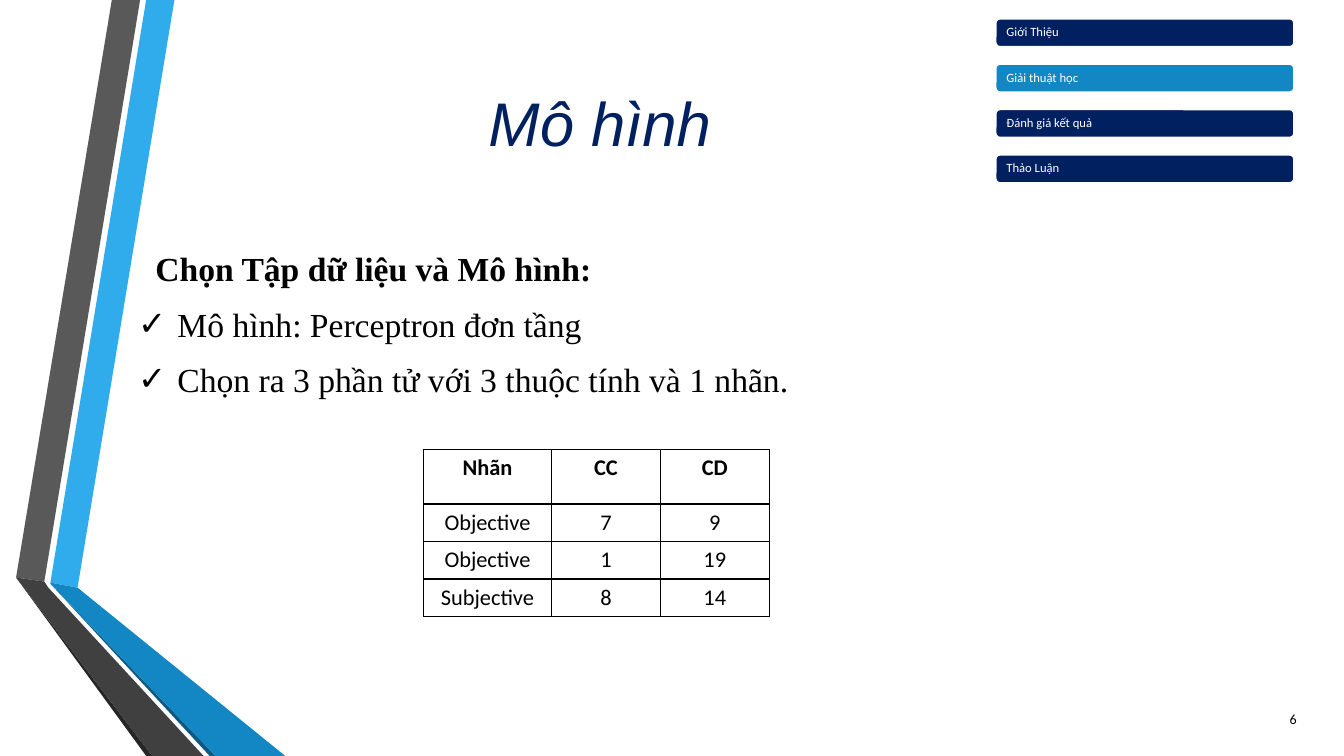
from lxml import etree
from pptx import Presentation
from pptx.dml.color import RGBColor
from pptx.enum.shapes import MSO_SHAPE
from pptx.enum.text import MSO_ANCHOR, MSO_AUTO_SIZE, PP_ALIGN
from pptx.oxml.ns import qn
from pptx.util import Pt

PX = 9144  # EMU per px, 100 px to the inch
ROUNDED = MSO_SHAPE.ROUNDED_RECTANGLE
MIDDLE, TOP = MSO_ANCHOR.MIDDLE, MSO_ANCHOR.TOP
LEFT, CENTER, RIGHT = PP_ALIGN.LEFT, PP_ALIGN.CENTER, PP_ALIGN.RIGHT
NO_FIT = MSO_AUTO_SIZE.NONE

WHITE = RGBColor(0xFF, 0xFF, 0xFF)
BLACK = RGBColor(0x00, 0x00, 0x00)
NAVY = RGBColor(0x00, 0x20, 0x60)
BLUE = RGBColor(0x12, 0x87, 0xC3)
LIGHT_BLUE = RGBColor(0x30, 0xAC, 0xEC)
DEEP_BLUE = RGBColor(0x0C, 0x5A, 0x82)
GRAY = RGBColor(0x59, 0x59, 0x59)
DARK_GRAY = RGBColor(0x40, 0x40, 0x40)
CHARCOAL = RGBColor(0x26, 0x26, 0x26)

RIBBONS = [
    (LIGHT_BLUE, [(50, 578), (77, 583), (173, 0), (145, 0)]),
    (GRAY, [(139, 0), (111, 0), (16, 573), (44, 577)]),
    (CHARCOAL, [(16, 573), (145, 750), (151, 750)]),
    (DEEP_BLUE, [(50, 579), (208, 750), (214, 750)]),
    (BLUE, [(50, 578), (50, 579), (214, 750), (283, 750), (77, 583)]),
    (DARK_GRAY, [(202, 750), (48, 583), (44, 577), (16, 573), (151, 750)]),
]
SECTIONS = ["Giới Thiệu", "Giải thuật học", "Đánh giá kết quả", "Thảo Luận"]
CURRENT_SECTION = "Giải thuật học"
HEADING = "Chọn Tập dữ liệu và Mô hình:"
POINTS = ["Mô hình: Perceptron đơn tầng", "Chọn ra 3 phần tử với 3 thuộc tính và 1 nhãn."]
SAMPLES = [
    ("Nhãn", "CC", "CD"),
    ("Objective", "7", "9"),
    ("Objective", "1", "19"),
    ("Subjective", "8", "14"),
]
COLUMN_WIDTHS = [127, 108, 108]
HEADER_HEIGHT, ROW_HEIGHT = 54, 37


def place(shape, left, top, width, height):
    shape.left, shape.top = left * PX, top * PX
    shape.width, shape.height = width * PX, height * PX


def style(paragraph, name, size, color, alignment, bold=False, italic=False):
    paragraph.alignment = alignment
    font = paragraph.font
    font.name, font.size, font.bold, font.italic = name, Pt(size), bold, italic
    font.color.rgb = color


def set_margins(holder, left, top, right, bottom):
    """Set the inner margins of a text frame or a table cell."""
    holder.margin_left, holder.margin_top = left * PX, top * PX
    holder.margin_right, holder.margin_bottom = right * PX, bottom * PX


def set_indent(paragraph, margin, indent, bullet=None):
    properties = paragraph._p.get_or_add_pPr()
    properties.set("marL", str(margin * PX))
    properties.set("indent", str(indent * PX))
    if bullet is None:
        etree.SubElement(properties, qn("a:buNone"))
        return
    color = etree.SubElement(properties, qn("a:buClr"))
    etree.SubElement(color, qn("a:srgbClr"), val=str(BLACK))
    etree.SubElement(properties, qn("a:buFont"), typeface="Arial")
    etree.SubElement(properties, qn("a:buChar"), char=bullet)


def add_ribbon(slide, color, points):
    builder = slide.shapes.build_freeform(*points[0], scale=PX)
    builder.add_line_segments(points[1:], close=True)
    ribbon = builder.convert_to_shape()
    ribbon.shadow.inherit = False
    ribbon.fill.solid()
    ribbon.fill.fore_color.rgb = color
    ribbon.line.fill.background()


def fill_title(title, text):
    place(title, 47, 25, 1096, 192)
    frame = title.text_frame
    frame.text = text
    frame.auto_size, frame.vertical_anchor = NO_FIT, MIDDLE
    style(frame.paragraphs[0], "Arial", 44, NAVY, CENTER, italic=True)


def fill_body(body):
    place(body, 127, 241, 1117, 181)
    frame = body.text_frame
    frame.text = "\n".join([HEADING] + POINTS)
    frame.auto_size, frame.vertical_anchor = NO_FIT, TOP
    for index, paragraph in enumerate(frame.paragraphs):
        style(paragraph, "Times New Roman", 24, BLACK, LEFT, bold=index == 0)
        paragraph.space_before, paragraph.space_after = Pt(4.8), Pt(6)
        if index == 0:
            set_indent(paragraph, 17, 0)
        else:
            set_indent(paragraph, 39, -39, "✓")


def add_section_button(slide, index, text):
    button = slide.shapes.add_shape(ROUNDED, 987 * PX, (18 + 45 * index) * PX, 297 * PX, 29 * PX)
    button.shadow.inherit = False
    button.fill.solid()
    button.fill.fore_color.rgb = BLUE if text == CURRENT_SECTION else NAVY
    button.line.color.rgb = WHITE
    button.line.width = Pt(2)
    frame = button.text_frame
    frame.text = text
    frame.vertical_anchor = MIDDLE
    set_margins(frame, 10, 1, 9, 1)
    paragraph = frame.paragraphs[0]
    style(paragraph, "Calibri", 9, WHITE, LEFT)
    paragraph.line_spacing, paragraph.space_after = 0.9, Pt(3.1)


def add_borders(cell):
    properties = cell._tc.get_or_add_tcPr()
    for position, side in enumerate(("lnL", "lnR", "lnT", "lnB")):
        line = etree.Element(qn("a:" + side), w=str(Pt(0.96)))
        fill = etree.SubElement(line, qn("a:solidFill"))
        etree.SubElement(fill, qn("a:srgbClr"), val=str(BLACK))
        properties.insert(position, line)


def add_sample_table(slide):
    height = HEADER_HEIGHT + ROW_HEIGHT * (len(SAMPLES) - 1)
    table = slide.shapes.add_table(
        len(SAMPLES), len(COLUMN_WIDTHS), 420 * PX, 446 * PX, sum(COLUMN_WIDTHS) * PX, height * PX
    ).table
    for column, width in zip(table.columns, COLUMN_WIDTHS):
        column.width = width * PX
    for row_index, values in enumerate(SAMPLES):
        is_header = row_index == 0
        table.rows[row_index].height = (HEADER_HEIGHT if is_header else ROW_HEIGHT) * PX
        for column_index, value in enumerate(values):
            cell = table.cell(row_index, column_index)
            cell.text = value
            cell.fill.background()
            set_margins(cell, 1, 5, 1, 5)
            style(cell.text_frame.paragraphs[0], "Calibri", 16, BLACK, CENTER, bold=is_header)
            add_borders(cell)


def add_page_number(slide, number):
    box = slide.shapes.add_textbox(1236 * PX, 695 * PX, 60 * PX, 37 * PX)
    frame = box.text_frame
    frame.text = number
    frame.word_wrap, frame.vertical_anchor = True, MIDDLE
    style(frame.paragraphs[0], "Calibri", 10, BLACK, RIGHT)


def main():
    presentation = Presentation()
    presentation.slide_width, presentation.slide_height = 1333 * PX, 750 * PX
    slide = presentation.slides.add_slide(presentation.slide_layouts[1])
    for color, points in RIBBONS:
        add_ribbon(slide, color, points)
    fill_title(slide.shapes.title, "Mô hình")
    fill_body(slide.placeholders[1])
    for index, text in enumerate(SECTIONS):
        add_section_button(slide, index, text)
    add_sample_table(slide)
    add_page_number(slide, "6")
    presentation.save("out.pptx")


if __name__ == "__main__":
    main()
